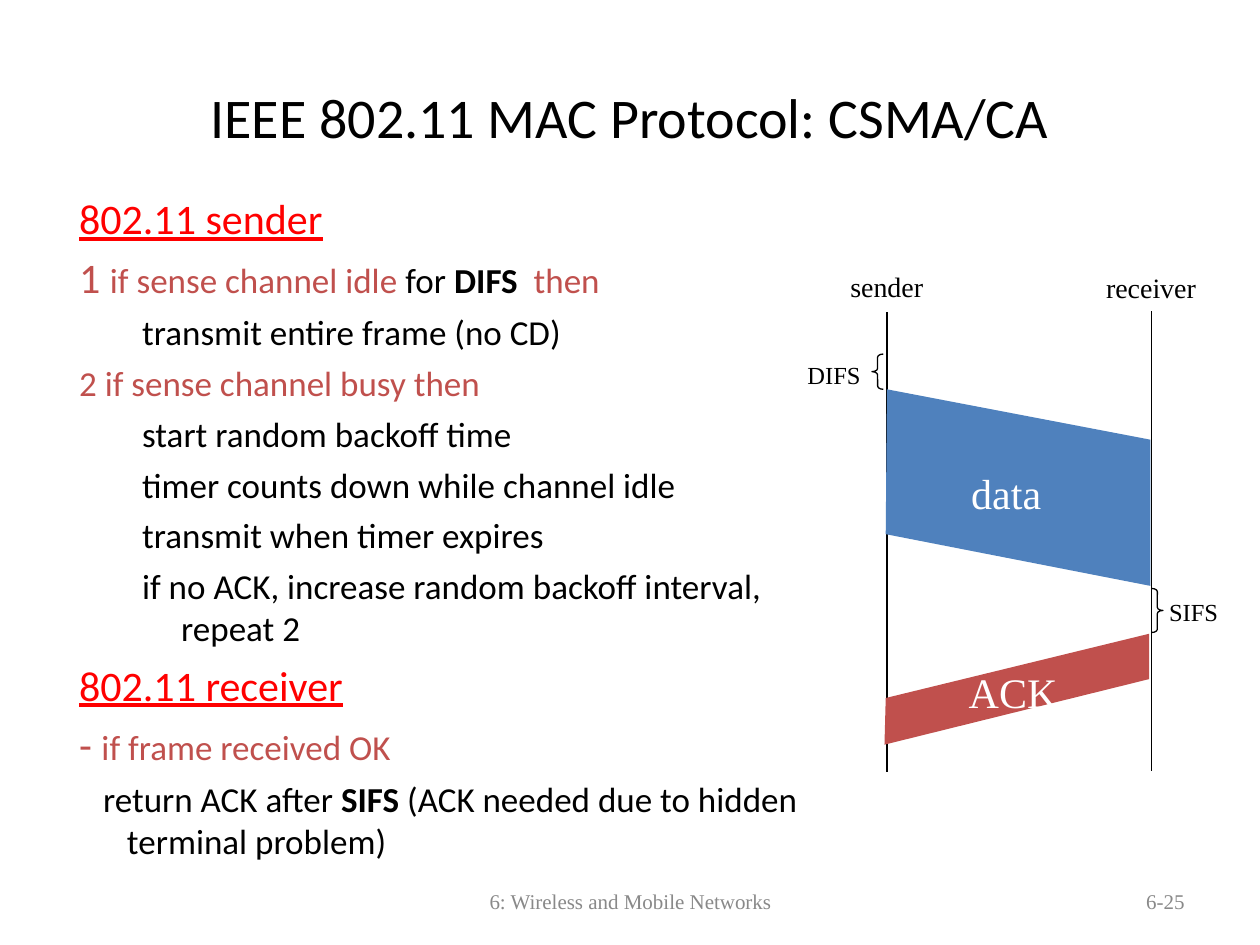
from dataclasses import dataclass

from lxml import etree
from pptx import Presentation
from pptx.dml.color import RGBColor
from pptx.enum import shapes as sh, text as tx
from pptx.oxml import ns
from pptx.util import Inches, Pt


@dataclass(frozen=True)
class Theme:
    black: str = "000000"
    white: str = "FFFFFF"
    grey: str = "898989"
    heading: str = "FF0000"
    red: str = "C0504D"
    blue: str = "4F81BD"
    sans: str = "Calibri"
    serif: str = "Times New Roman"
    title: int = 32
    large: int = 24
    body: int = 20
    label: int = 16
    small: int = 14
    footer: int = 12
    line: float = 0.75


T = Theme()


def style(font, size, color, name, bold=False, underline=False):
    font.size, font.name = Pt(size), name
    font.bold, font.underline = bold, underline
    font.color.rgb = RGBColor.from_string(color)


def text_frame(shapes, box, anchor=tx.MSO_ANCHOR.TOP):
    frame = shapes.add_textbox(*map(Inches, box)).text_frame
    frame.word_wrap = True
    frame.vertical_anchor = anchor
    return frame


def single_line(shapes, box, words, size, color, name, align):
    frame = text_frame(shapes, box, tx.MSO_ANCHOR.MIDDLE)
    frame.text = words
    frame.paragraphs[0].alignment = align
    style(frame.paragraphs[0].runs[0].font, size, color, name)


def label(shapes, box, words, size, color=T.black):
    """Add a one-line diagram label with spare room on its right."""
    frame = text_frame(shapes, box)
    frame.text = words
    frame.margin_right = 0
    frame.word_wrap = False
    frame.auto_size = tx.MSO_AUTO_SIZE.SHAPE_TO_FIT_TEXT
    style(frame.paragraphs[0].runs[0].font, size, color, T.serif)


def steps(shapes, box):
    """Write the sender and receiver algorithms."""
    def heading(words):
        return 0, 0.38, -0.38, 6, [(words, T.large, T.heading, False, True)]

    def condition(*runs):
        return 0, 0.38, -0.38, 5, runs

    def action(words):
        return 1, 0.81, -0.31, 5, [(words, T.body, T.black)]

    paragraphs = [
        heading("802.11 sender"),
        condition(("1 ", T.large, T.red), ("if sense channel idle", T.body, T.red),
                  (" for ", T.body, T.black), ("DIFS  ", T.body, T.black, True),
                  ("then", T.body, T.red)),
        action("transmit entire frame (no CD)"),
        condition(("2 if sense channel busy then", T.body, T.red)),
        action("start random backoff time"),
        action("timer counts down while channel idle"),
        action("transmit when timer expires"),
        action("if no ACK, increase random backoff interval, repeat 2"),
        heading("802.11 receiver"),
        condition(("- ", T.large, T.red), ("if frame received OK", T.body, T.red)),
        (0, 0.38, -0.19, 5, [
            ("return ACK after ", T.body, T.black), ("SIFS ", T.body, T.black, True),
            ("(ACK needed due to hidden terminal problem)", T.body, T.black)]),
    ]
    frame = text_frame(shapes, box)
    for i, (level, left, indent, before, runs) in enumerate(paragraphs):
        paragraph = frame.add_paragraph() if i else frame.paragraphs[0]
        paragraph.level = level
        paragraph.space_before = Pt(before if i else 0)
        properties = paragraph._p.get_or_add_pPr()
        properties.set("marL", str(Inches(left)))
        properties.set("indent", str(Inches(indent)))
        for words, size, color, *emphasis in runs:
            run = paragraph.add_run()
            run.text = words
            style(run.font, size, color, T.sans, *emphasis)


def timeline(shapes, start, end):
    line = shapes.add_connector(sh.MSO_CONNECTOR.STRAIGHT, *map(Inches, start + end))
    line.line.color.rgb = RGBColor.from_string(T.black)
    line.line.width = Pt(T.line)
    etree.SubElement(line._element.spPr, ns.qn("a:effectLst"))


def brace(shapes, kind, box):
    mark = shapes.add_shape(kind, *map(Inches, box))
    mark.adjustments[0] = 0.28
    mark.shadow.inherit = False
    mark.fill.background()
    mark.line.color.rgb = RGBColor.from_string(T.black)
    mark.line.width = Pt(T.line)


def frame_band(shapes, corners, color):
    """Draw a transmitted frame as a slanted band."""
    points = [(Inches(x), Inches(y)) for x, y in corners]
    builder = shapes.build_freeform(*points[0])
    builder.add_line_segments(points[1:], close=True)
    band = builder.convert_to_shape()
    band.shadow.inherit = False
    band.fill.solid()
    band.fill.fore_color.rgb = RGBColor.from_string(color)
    band.line.fill.background()


def exchange(shapes, box):
    """Draw the sender/receiver timing diagram."""
    left, top, _, _ = box

    def at(x, y, *size):
        return (round(left + x, 2), round(top + y, 2), *size)

    timeline(shapes, at(0.73, 0.39), at(0.73, 4.04))
    timeline(shapes, at(2.83, 0.38), at(2.83, 4.03))
    label(shapes, at(0.34, 0, 0.78, 0.37), "sender", T.label)
    label(shapes, at(2.37, 0.01, 0.91, 0.37), "receiver", T.label)

    data = shapes.add_group_shape().shapes
    brace(data, sh.MSO_SHAPE.LEFT_BRACE, at(0.61, 0.72, 0.09, 0.28))
    label(data, at(0, 0.72, 0.62, 0.34), "DIFS", T.small)
    frame_band(data, [at(0.73, 1), at(2.82, 1.4), at(2.82, 2.56), at(0.72, 2.15)], T.blue)
    label(data, at(1.3, 1.57, 0.75, 0.5), "data", T.large, T.white)

    ack = shapes.add_group_shape().shapes
    label(ack, at(2.87, 2.6, 0.59, 0.34), "SIFS", T.small)
    brace(ack, sh.MSO_SHAPE.RIGHT_BRACE, at(2.83, 2.58, 0.09, 0.35))
    frame_band(ack, [at(0.71, 3.82), at(2.81, 3.3), at(2.81, 2.94), at(0.72, 3.45)], T.red)
    label(ack, at(1.28, 3.15, 0.9, 0.5), "ACK", T.large, T.white)


def main():
    deck = Presentation()
    deck.slide_width, deck.slide_height = Inches(10), Inches(7.5)
    shapes = deck.slides.add_slide(deck.slide_layouts[6]).shapes
    align = tx.PP_ALIGN
    single_line(shapes, (3.42, 6.95, 3.17, 0.4), "6: Wireless and Mobile Networks",
                T.footer, T.grey, T.serif, align.CENTER)
    single_line(shapes, (7.17, 6.95, 2.33, 0.4), "6-25",
                T.footer, T.grey, T.serif, align.RIGHT)
    single_line(shapes, (0.5, 0.3, 9, 1.25), "IEEE 802.11 MAC Protocol: CSMA/CA",
                T.title, T.black, T.sans, align.CENTER)
    steps(shapes, (0.53, 1.48, 6.16, 5.42))
    exchange(shapes, (6.31, 2.09, 3.46, 4.04))
    deck.save("out.pptx")


if __name__ == "__main__":
    main()
